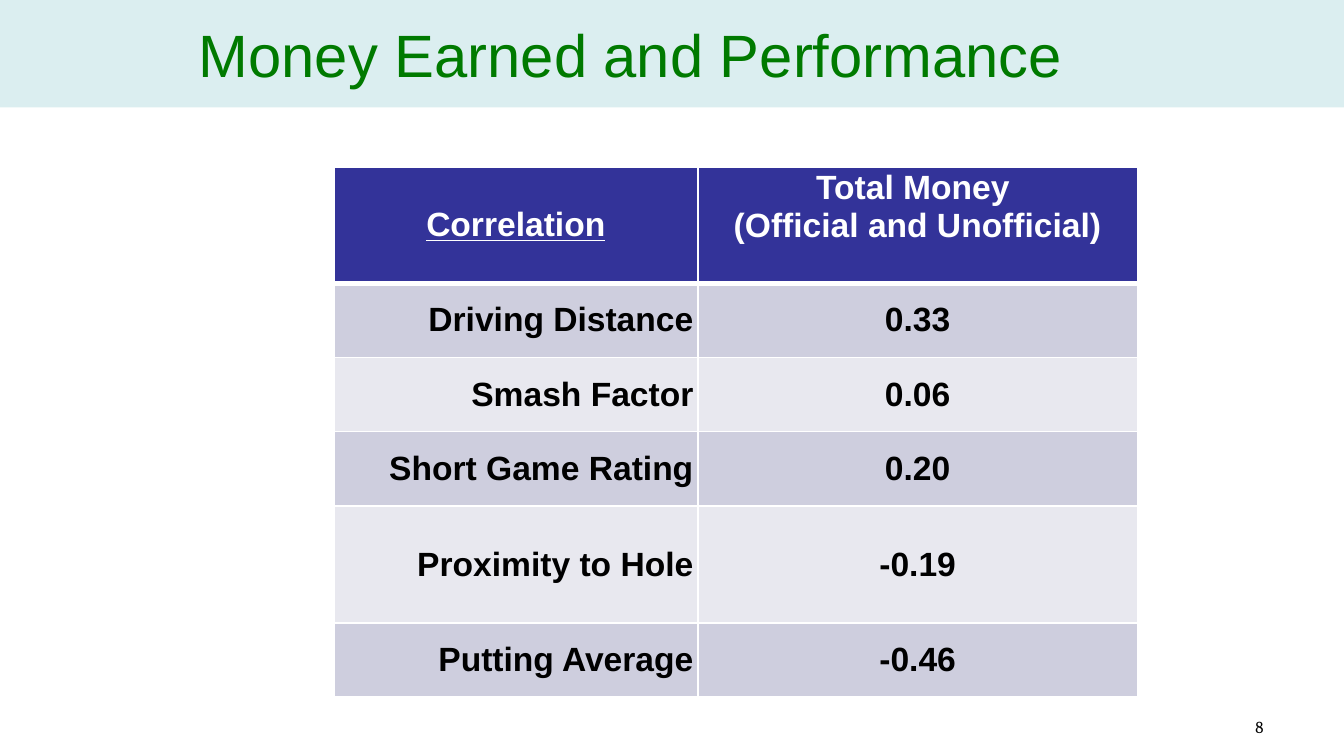
import pptx
import pptx.dml.color
import pptx.enum.shapes
import pptx.enum.text
import pptx.oxml
import pptx.util

Pt = pptx.util.Pt
ALIGN = pptx.enum.text.PP_ALIGN
ANCHOR = pptx.enum.text.MSO_ANCHOR
DRAWING = "http://schemas.openxmlformats.org/drawingml/2006/main"


def color(value):
    return pptx.dml.color.RGBColor.from_string(value)


def write(para, text, size, font, shade, align, bold=False, underline=False):
    para.alignment = align
    span = para.add_run()
    span.text = text
    span.font.size = Pt(size)
    span.font.name = font
    span.font.bold = bold
    span.font.underline = underline
    span.font.color.rgb = color(shade)


deck = pptx.Presentation()
deck.slide_width = Pt(720)
deck.slide_height = Pt(405)
page = deck.slides.add_slide(deck.slide_layouts[6])

band = page.shapes.add_shape(
    pptx.enum.shapes.MSO_SHAPE.RECTANGLE, Pt(0), Pt(0), Pt(720), Pt(57.6))
band.shadow.inherit = False
band.line.fill.background()
band.fill.solid()
band.fill.fore_color.rgb = color("BBE0E3")
band_color = band.fill._xPr.find(f".//{{{DRAWING}}}srgbClr")
band_color.append(pptx.oxml.parse_xml(f'<a:alpha xmlns:a="{DRAWING}" val="52000"/>'))

labels = [
    (516.2, 381.6, 167.8, 15.8, "8", 9, "Cambria", "000000", ALIGN.RIGHT),
    (99.4, 7.9, 589.7, 41.8, "Money Earned and Performance", 32, "Arial", "007A00", ALIGN.LEFT),
]
for left, top, width, height, text, size, font, shade, align in labels:
    box = page.shapes.add_textbox(Pt(left), Pt(top), Pt(width), Pt(height))
    box.text_frame.word_wrap = True
    box.text_frame.vertical_anchor = ANCHOR.MIDDLE
    write(box.text_frame.paragraphs[0], text, size, font, shade, align)

rows = [
    (["Correlation"], ["Total Money ", "(Official and Unofficial)"]),
    (["Driving Distance"], ["0.33"]),
    (["Smash Factor"], ["0.06"]),
    (["Short Game Rating"], ["0.20"]),
    (["Proximity to Hole"], ["-0.19"]),
    (["Putting Average"], ["-0.46"]),
]
widths = [195.1, 235.4]
heights = [62.3, 39.8, 39.8, 39.8, 62.6, 39.8]
table = page.shapes.add_table(
    len(rows), len(widths), Pt(178.8), Pt(89.4), Pt(sum(widths)), Pt(sum(heights))).table
for column, width in zip(table.columns, widths):
    column.width = Pt(width)

for r, texts in enumerate(rows):
    table.rows[r].height = Pt(heights[r])
    header = r == 0
    for c, lines in enumerate(texts):
        cell = table.cell(r, c)
        cell.margin_left = cell.margin_right = Pt(2.4)
        cell.margin_top = cell.margin_bottom = Pt(1.2)
        cell.vertical_anchor = ANCHOR.TOP if header and c == 1 else ANCHOR.MIDDLE
        for number, line in enumerate(lines):
            frame = cell.text_frame
            para = frame.add_paragraph() if number else frame.paragraphs[0]
            write(para, line, 18, "Arial", "FFFFFF" if header else "000000",
                  ALIGN.CENTER if header or c == 1 else ALIGN.RIGHT,
                  bold=True, underline=header and c == 0)
        properties = cell._tc.get_or_add_tcPr()
        for side in ("lnL", "lnR", "lnT", "lnB"):
            thick = (r == 0 and side == "lnB") or (r == 1 and side == "lnT")
            properties.append(pptx.oxml.parse_xml(
                f'<a:{side} xmlns:a="{DRAWING}" w="{Pt(3 if thick else 1)}">'
                f'<a:solidFill><a:srgbClr val="FFFFFF"/></a:solidFill></a:{side}>'))
        cell.fill.solid()
        cell.fill.fore_color.rgb = color("333399" if header else ("E8E8EF", "CECEDE")[r % 2])

deck.save("out.pptx")
